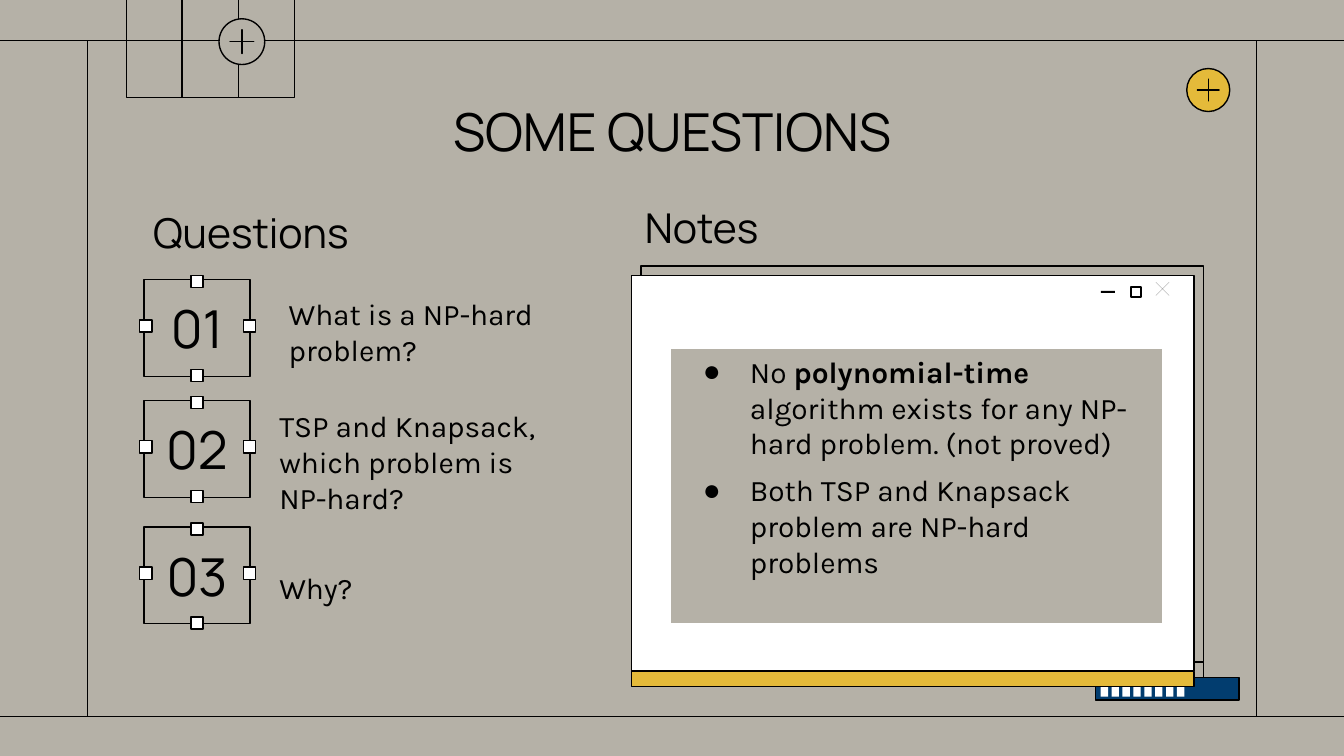
from lxml import etree
from pptx import Presentation
from pptx.dml.color import RGBColor
from pptx.enum.shapes import MSO_CONNECTOR, MSO_SHAPE
from pptx.enum.text import MSO_ANCHOR, MSO_AUTO_SIZE, PP_ALIGN
from pptx.oxml.ns import qn
from pptx.util import Inches, Pt

RECT, OVAL, PLUS = MSO_SHAPE.RECTANGLE, MSO_SHAPE.OVAL, MSO_SHAPE.MATH_PLUS
STRAIGHT = MSO_CONNECTOR.STRAIGHT
TOP, MIDDLE = MSO_ANCHOR.TOP, MSO_ANCHOR.MIDDLE
LEFT, CENTER = PP_ALIGN.LEFT, PP_ALIGN.CENTER
NO_FIT = MSO_AUTO_SIZE.NONE

THEME = {
    "ink": RGBColor.from_string("000000"),
    "paper": RGBColor.from_string("B5B1A7"),
    "white": RGBColor.from_string("FFFFFF"),
    "gold": RGBColor.from_string("E4BA3A"),
    "navy": RGBColor.from_string("023D6F"),
    "display": ("Manrope", Pt(28)),
    "heading": ("Manrope", Pt(22)),
    "body": ("Karla", Pt(16)),
    "line": Pt(0.75),
}
COLUMNS, ROWS = 100, 56.25
CELL = Inches(0.1)

deck = Presentation()
deck.slide_width, deck.slide_height = int(COLUMNS * CELL), int(ROWS * CELL)
page = deck.slides.add_slide(deck.slide_layouts[1])
page.background.fill.solid()
page.background.fill.fore_color.rgb = THEME["paper"]


def add_block(kind, left, top, width, height, fill=None, line="ink"):
    block = page.shapes.add_shape(kind, *(int(n * CELL) for n in (left, top, width, height)))
    block.shadow.inherit = False
    if fill:
        block.fill.solid()
        block.fill.fore_color.rgb = THEME[fill]
    else:
        block.fill.background()
    if line:
        block.line.color.rgb = THEME[line]
        block.line.width = THEME["line"]
    else:
        block.line.fill.background()
    return block


def write(box, text, style, align=LEFT):
    frame = box.text_frame
    frame.text = text
    frame.word_wrap = True
    frame.auto_size = NO_FIT
    frame.vertical_anchor = MIDDLE
    frame.margin_left = frame.margin_right = CELL
    frame.margin_top = frame.margin_bottom = CELL
    for para in frame.paragraphs:
        para.alignment = align
        para.font.name, para.font.size = THEME[style]
        para.font.color.rgb = THEME["ink"]


add_block(RECT, 81.5, 50.4, 10.7, 1.7, "navy")
for key in range(8):
    add_block(RECT, 81.9 + key * 0.81, 50.7, 0.55, 1.15, "white", None)

FRAME_TOP, FRAME_BOTTOM = 3, 53.3
ruled_lines = [
    (0, FRAME_TOP, COLUMNS, FRAME_TOP),
    (6.5, FRAME_BOTTOM, 6.5, FRAME_TOP),
    (93.5, FRAME_BOTTOM, 93.5, FRAME_TOP),
    (0, FRAME_BOTTOM, COLUMNS, FRAME_BOTTOM),
    (13.55, 0, 13.55, 7.3),
    (17.75, 0, 17.75, 7.3),
]
for ends in ruled_lines:
    rule = page.shapes.add_connector(STRAIGHT, *(int(n * CELL) for n in ends))
    rule.line.color.rgb = THEME["ink"]
    rule.line.width = THEME["line"]
    etree.SubElement(rule.element.spPr, qn("a:effectLst"))
add_block(RECT, 9.4, -1.2, 12.5, 8.45)

for left, top, size, fill in [(88.3, 5.1, 3.2, "gold"), (16.3, 1.4, 3.4, "paper")]:
    add_block(OVAL, left, top, size, size, fill)
    plus = add_block(PLUS, left + 0.5, top + 0.5, size - 1, size - 1, "ink")
    plus.adjustments[0] = 0

title = page.shapes.title
title.left, title.top, title.width, title.height = (int(n * CELL) for n in (15.3, 6.6, 69.4, 6.3))
write(title, "SOME QUESTIONS", "display", CENTER)

labels = [
    ("Questions", "heading", 10.4, 15.1, 20.9, 4.4),
    ("Notes", "heading", 47, 14.7, 20.9, 4.4),
    ("What is a NP-hard problem?", "body", 20.5, 22.3, 22.6, 4.7),
    ("TSP and Knapsack, which problem is NP-hard?", "body", 19.8, 32, 21.8, 4.7),
    ("Why?", "body", 19.8, 41.4, 21.8, 4.7),
]
for text, style, *place in labels:
    label = page.shapes.add_textbox(*(int(n * CELL) for n in place))
    write(label, text, style)

HANDLES = [(3.5, -0.3), (3.5, 6.7), (-0.3, 3), (7.4, 3)]
for number, top in [("01", 20.8), ("02", 29.8), ("03", 39.2)]:
    card = add_block(RECT, 10.7, top, 7.9, 7.2)
    write(card, number, "display", CENTER)
    for across, down in HANDLES:
        add_block(RECT, 10.7 + across, top + down, 0.9, 0.9, "white")

for left, top, panel_fill, bar_fill in [(47.7, 19.8, None, None), (47, 20.5, "white", "gold")]:
    add_block(RECT, left, top, 41.85, 29.45, panel_fill)
    add_block(RECT, left, top + 29.45, 41.85, 1.15, bar_fill)

add_block(RECT, 81.9, 21.65, 1.05, 0.15, "ink", None)
maximize = add_block(RECT, 84.15, 21.35, 0.75, 0.75)
maximize.line.width = Pt(1.25)
for strokes in [
    [(86.3, 21.3), (86.2, 21.4), (86.9, 22.2), (87, 22.1)],
    [(86.9, 21.3), (86.2, 22.1), (86.3, 22.2), (87, 21.4)],
]:
    builder = page.shapes.build_freeform(*strokes[0], scale=CELL)
    builder.add_line_segments(strokes[1:], close=True)
    stroke = builder.convert_to_shape()
    stroke.shadow.inherit = False
    stroke.fill.solid()
    stroke.fill.fore_color.rgb = THEME["ink"]
    stroke.line.fill.background()

notes = page.placeholders[1]
notes.element.getparent().append(notes.element)
notes.left, notes.top, notes.width, notes.height = (int(n * CELL) for n in (49.8, 25.8, 36.8, 20.7))
notes.fill.solid()
notes.fill.fore_color.rgb = THEME["paper"]
notes.line.color.rgb = THEME["white"]
notes.line.width = Pt(2)
frame = notes.text_frame
frame.text = "\n".join([
    "No ",
    "Both TSP and Knapsack problem are NP-hard problems",
])
for text, bold in [
    ("polynomial-time", True),
    (" algorithm exists for any NP-hard problem. (not proved)", False),
]:
    span = frame.paragraphs[0].add_run()
    span.text = text
    span.font.bold = bold
for para, gap in zip(frame.paragraphs, (0, 6)):
    props = para._p.get_or_add_pPr()
    props.set("marL", str(Inches(0.5)))
    props.set("indent", str(-Inches(0.35)))
    color = etree.SubElement(etree.SubElement(props, qn("a:buClr")), qn("a:srgbClr"))
    color.set("val", str(THEME["ink"]))
    etree.SubElement(props, qn("a:buChar")).set("char", "●")
    para.space_before = Pt(gap)
    para.alignment = LEFT
    para.font.name, para.font.size = THEME["body"]
    para.font.color.rgb = THEME["ink"]
frame.word_wrap = True
frame.auto_size = NO_FIT
frame.vertical_anchor = TOP
frame.margin_left = frame.margin_right = CELL
frame.margin_top = frame.margin_bottom = Inches(0.05)

deck.save("out.pptx")
